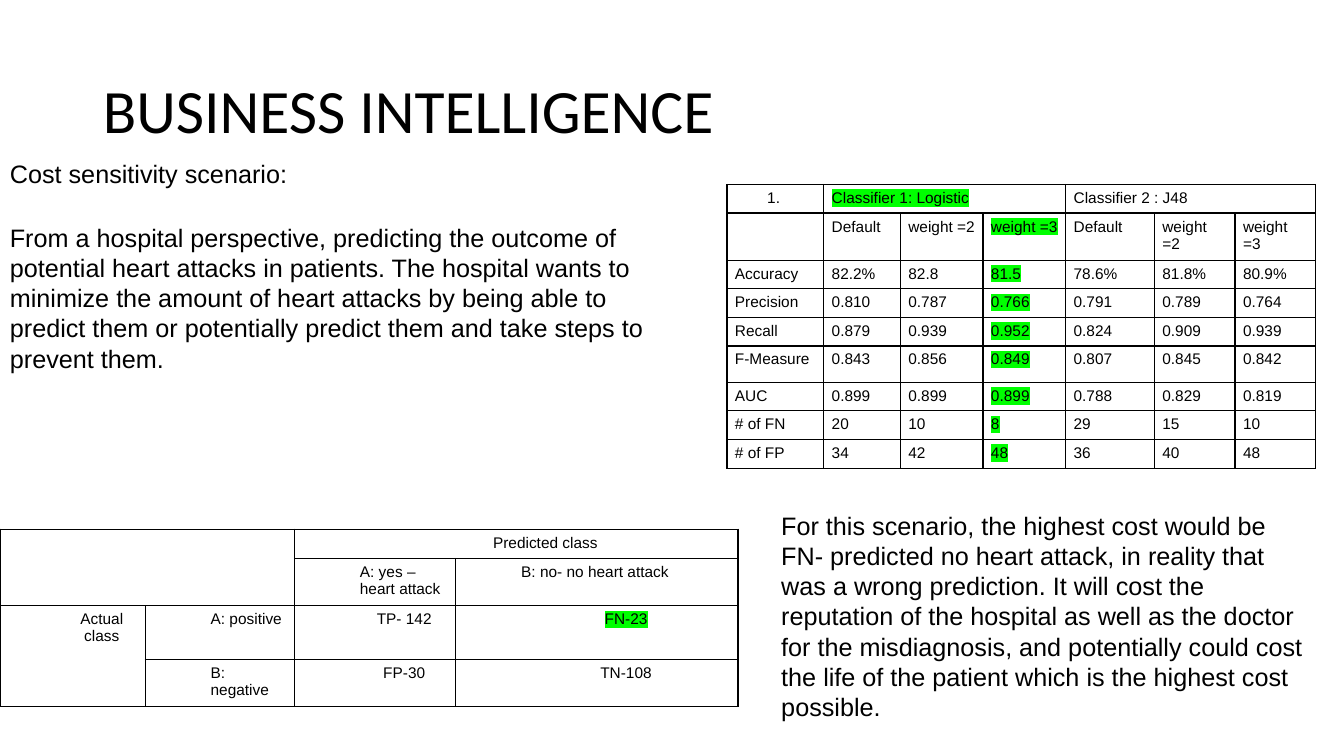
from lxml.etree import SubElement
from pptx import Presentation
from pptx.dml.color import RGBColor
from pptx.enum.text import MSO_ANCHOR as Anchor, PP_ALIGN as Align
from pptx.oxml.ns import qn
from pptx.util import Inches, Pt

BLACK = RGBColor(0x00, 0x00, 0x00)
GREEN = RGBColor(0x00, 0xFF, 0x00)

TITLE_FONT = {"name": "Calibri", "size": Pt(44)}
BODY_FONT = {"name": "Arial", "size": Pt(18)}
CELL_FONT = {"name": "Arial", "size": Pt(11)}
CELL_MARGINS = {"margin_left": Inches(0.07), "margin_right": Inches(0.07),
                "margin_top": Inches(0.05), "margin_bottom": Inches(0.05)}

SCENARIO = [
    "Cost sensitivity scenario:",
    "From a hospital perspective, predicting the outcome of potential heart "
    "attacks in patients. The hospital wants to minimize the amount of heart "
    "attacks by being able to predict them or potentially predict them and "
    "take steps to prevent them.",
]
CONCLUSION = [
    "For this scenario, the highest cost would be FN- predicted no heart "
    "attack, in reality that was a wrong prediction. It will cost the "
    "reputation of the hospital as well as the doctor for the misdiagnosis, "
    "and potentially could cost the life of the patient which is the highest "
    "cost possible.",
]

CLASSIFIERS = [
    ["1.", "Classifier 1: Logistic", "", "", "Classifier 2 : J48", "", ""],
    ["", "Default", "weight =2", "weight =3", "Default", "weight =2", "weight =3"],
    ["Accuracy", "82.2%", "82.8", "81.5", "78.6%", "81.8%", "80.9%"],
    ["Precision", "0.810", "0.787", "0.766", "0.791", "0.789", "0.764"],
    ["Recall", "0.879", "0.939", "0.952", "0.824", "0.909", "0.939"],
    ["F-Measure", "0.843", "0.856", "0.849", "0.807", "0.845", "0.842"],
    ["AUC", "0.899", "0.899", "0.899", "0.788", "0.829", "0.819"],
    ["# of FN", "20", "10", "8", "29", "15", "10"],
    ["# of FP", "34", "42", "48", "36", "40", "48"],
]
CONFUSION = [
    ["", "", "Predicted class", ""],
    ["", "", "A: yes – heart attack", "B: no- no heart attack"],
    ["Actual\nclass", "A: positive", "TP- 142", "FN-23"],
    ["", "B: negative", "FP-30", "TN-108"],
]


def apply(target, values):
    for name, value in values.items():
        setattr(target, name, value)


def add_span(para, text, font, highlight=None):
    span = para.add_run()
    span.text = text
    apply(span.font, font)
    span.font.color.rgb = BLACK
    if highlight is not None:
        properties = span.font.fill._xPr
        mark = SubElement(properties, qn("a:highlight"))
        SubElement(mark, qn("a:srgbClr"), val=str(highlight))
        properties.find(qn("a:solidFill")).addnext(mark)


def add_borders(cell):
    properties = cell._tc.get_or_add_tcPr()
    for index, side in enumerate(("lnL", "lnR", "lnT", "lnB")):
        line = SubElement(properties, qn(f"a:{side}"), w=str(Pt(1)))
        fill = SubElement(line, qn("a:solidFill"))
        SubElement(fill, qn("a:srgbClr"), val=str(BLACK))
        properties.insert(index, line)


def fill_cell(cell, text, indent, align, highlight):
    apply(cell, CELL_MARGINS)
    cell.fill.background()
    add_borders(cell)
    frame = cell.text_frame
    for index, line in enumerate(text.split("\n")):
        para = frame.add_paragraph() if index else frame.paragraphs[0]
        para.alignment = align
        para._p.get_or_add_pPr().set("marL", str(Inches(indent)))
        if line:
            add_span(para, line, CELL_FONT, highlight)
        else:
            # Keeps empty cells as low as the filled ones
            SubElement(para._p, qn("a:endParaRPr"), sz="1100")


def add_grid(slide, box, rows, widths, heights, merges, style):
    """Bordered table; style(row, column) gives indent, alignment, highlight."""
    left, top = box
    table = slide.shapes.add_table(
        len(rows), len(widths), Inches(left), Inches(top),
        Inches(sum(widths)), Inches(sum(heights))).table
    apply(table, {"first_row": False, "horz_banding": False})
    for column, width in zip(table.columns, widths):
        column.width = Inches(width)
    for row, height in zip(table.rows, heights):
        row.height = Inches(height)
    for r, texts in enumerate(rows):
        for c, text in enumerate(texts):
            fill_cell(table.cell(r, c), text, *style(r, c))
    for first, last in merges:
        table.cell(*first).merge(table.cell(*last))


def add_title(slide, box):
    title = slide.shapes.title
    apply(title, dict(zip(("left", "top", "width", "height"), map(Inches, box))))
    title.text_frame.vertical_anchor = Anchor.MIDDLE
    para = title.text_frame.paragraphs[0]
    apply(para, {"alignment": Align.LEFT, "line_spacing": 0.9})
    add_span(para, "BUSINESS INTELLIGENCE", TITLE_FONT)


def add_text(slide, box, paragraphs):
    frame = slide.shapes.add_textbox(*map(Inches, box)).text_frame
    frame.word_wrap = True
    for index, text in enumerate(paragraphs):
        para = frame.add_paragraph() if index else frame.paragraphs[0]
        if index:
            para.space_before = Pt(24)
        add_span(para, text, BODY_FONT)


def add_classifier_table(slide, box):
    def style(row, column):
        chosen = (row, column) == (0, 1) or (row > 0 and column == 3)
        indent = 0.33 if (row, column) == (0, 0) else 0.01
        return indent, Align.LEFT, GREEN if chosen else None

    add_grid(slide, box, CLASSIFIERS,
             widths=[0.96, 0.76, 0.82, 0.82, 0.88, 0.8, 0.8],
             heights=[0.27, 0.44] + [0.27] * 3 + [0.36] + [0.27] * 3,
             merges=[((0, 1), (0, 3)), ((0, 4), (0, 6))], style=style)


def add_confusion_table(slide, box):
    def style(row, column):
        left_aligned = row == 1 or column == 1
        return (0.58, Align.LEFT if left_aligned else Align.CENTER,
                GREEN if (row, column) == (2, 3) else None)

    add_grid(slide, box, CONFUSION,
             widths=[1.44, 1.48, 1.6, 2.8], heights=[0.29, 0.47, 0.53, 0.47],
             merges=[((0, 0), (1, 1)), ((0, 2), (0, 3)), ((2, 0), (3, 0))],
             style=style)


def main():
    deck = Presentation()
    apply(deck, {"slide_width": Inches(13.33), "slide_height": Inches(7.5)})
    slide = deck.slides.add_slide(deck.slide_layouts[5])  # Title Only

    # Heading and scenario
    add_title(slide, (0.92, 0.4, 11.5, 1.45))
    add_text(slide, (0, 1.52, 6.67, 2.26), SCENARIO)

    # Classifier results and confusion matrix
    add_classifier_table(slide, (7.21, 1.83))
    add_confusion_table(slide, (0, 5.25))

    # Conclusion
    add_text(slide, (7.65, 5.01, 5.41, 2.22), CONCLUSION)
    deck.save("out.pptx")


if __name__ == "__main__":
    main()
